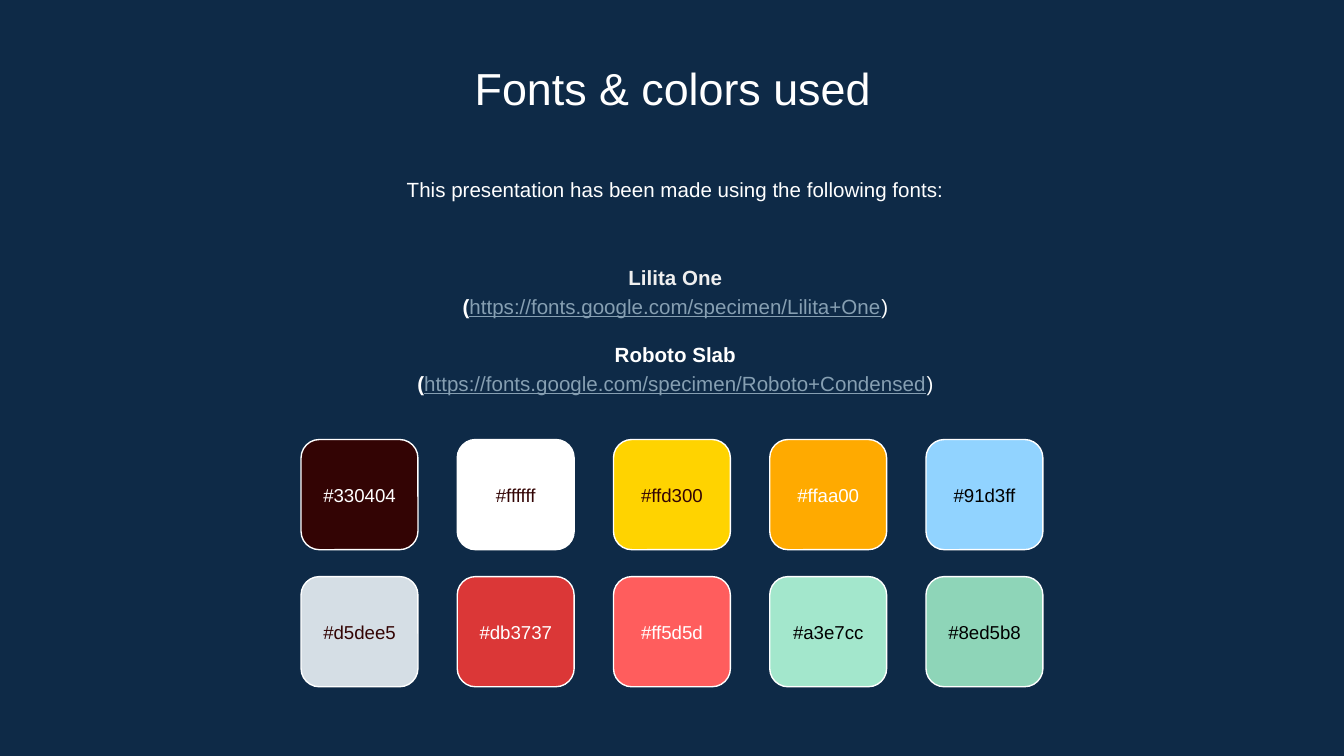
"""Build a slide that lists the fonts and the colour palette of a presentation."""
from dataclasses import dataclass

from pptx import Presentation
from pptx import util as u
from pptx.dml.color import RGBColor
from pptx.enum import shapes, text

FONT = "Arial"
WHITE, BLACK, NAVY, MAROON = "FFFFFF", "000000", "0E2A47", "330404"
LIGHT_GREY, LINK_BLUE = "EFEFEF", "869FB2"
TEXT_LEFT, TEXT_WIDTH = 1.17, 7.71
GRID_LEFT, GRID_TOP = 2.24, 3.27
COLUMN_STEP, ROW_STEP = (6.89 - GRID_LEFT) / 4, 1.02
TILE_WIDTH, TILE_HEIGHT, LABEL_HEIGHT = 0.87, 0.82, 0.48


@dataclass(frozen=True)
class Swatch:
    code: str
    label_color: str


@dataclass(frozen=True)
class FontCredit:
    name: str
    address: str
    name_color: str


SWATCH_ROWS = [
    [
        Swatch("#330404", WHITE),
        Swatch("#ffffff", MAROON),
        Swatch("#ffd300", MAROON),
        Swatch("#ffaa00", WHITE),
        Swatch("#91d3ff", BLACK),
    ],
    [
        Swatch("#d5dee5", MAROON),
        Swatch("#db3737", WHITE),
        Swatch("#ff5d5d", WHITE),
        Swatch("#a3e7cc", BLACK),
        Swatch("#8ed5b8", BLACK),
    ],
]
CREDITS = [
    FontCredit("Lilita One", "https://fonts.google.com/specimen/Lilita+One", LIGHT_GREY),
    FontCredit("Roboto Slab", "https://fonts.google.com/specimen/Roboto+Condensed", WHITE),
]


def rgb(color: str) -> RGBColor:
    return RGBColor.from_string(color.lstrip("#").upper())


def style_run(run, size: float, color: str, bold: bool = False, underline: bool = False) -> None:
    font = run.font
    font.name, font.size, font.bold, font.underline = FONT, u.Pt(size), bold, underline
    font.color.rgb = rgb(color)


def add_text_frame(slide, left: float, top: float, width: float, height: float, middle: bool = False):
    box = slide.shapes.add_textbox(u.Inches(left), u.Inches(top), u.Inches(width), u.Inches(height))
    frame = box.text_frame
    frame.word_wrap = True
    frame.margin_left = frame.margin_right = u.Inches(0.1)
    frame.margin_top = frame.margin_bottom = u.Inches(0.1)
    frame.vertical_anchor = text.MSO_ANCHOR.MIDDLE if middle else text.MSO_ANCHOR.TOP
    return frame


def write_line(paragraph, content: str, size: float, color: str, spacing: float = 1.0, bold: bool = False) -> None:
    paragraph.text = content
    paragraph.alignment = text.PP_ALIGN.CENTER
    paragraph.line_spacing = spacing
    style_run(paragraph.runs[0], size, color, bold)


def add_credits(slide, credits: list[FontCredit]) -> None:
    frame = add_text_frame(slide, TEXT_LEFT, 1.76, TEXT_WIDTH, 1.37, middle=True)
    for index, credit in enumerate(credits):
        name = frame.add_paragraph() if index else frame.paragraphs[0]
        write_line(name, credit.name, 11, credit.name_color, 1.15, bold=True)
        if index:
            name.space_before = u.Pt(11)
        address = frame.add_paragraph()
        write_line(address, "(", 11, WHITE, 1.15, bold=True)
        for content, color, underline in ((credit.address, LINK_BLUE, True), (")", WHITE, False)):
            run = address.add_run()
            run.text = content
            style_run(run, 11, color, underline=underline)


def add_swatch(slide, swatch: Swatch, left: float, top: float) -> None:
    tile = slide.shapes.add_shape(
        shapes.MSO_SHAPE.ROUNDED_RECTANGLE,
        u.Inches(left), u.Inches(top), u.Inches(TILE_WIDTH), u.Inches(TILE_HEIGHT),
    )
    tile.shadow.inherit = False
    tile.fill.solid()
    tile.fill.fore_color.rgb = rgb(swatch.code)
    tile.line.color.rgb = rgb(WHITE)
    tile.line.width = u.Pt(0.75)
    label_top = top + (TILE_HEIGHT - LABEL_HEIGHT) / 2
    label = add_text_frame(slide, left, label_top, TILE_WIDTH, LABEL_HEIGHT, middle=True)
    write_line(label.paragraphs[0], swatch.code, 10, swatch.label_color)


def main() -> None:
    presentation = Presentation()
    presentation.slide_width = u.Inches(10)
    presentation.slide_height = u.Inches(10 * 9 / 16)
    slide = presentation.slides.add_slide(presentation.slide_layouts[6])
    slide.background.fill.solid()
    slide.background.fill.fore_color.rgb = rgb(NAVY)

    title = add_text_frame(slide, 1.15, 0.35, TEXT_WIDTH, 0.53)
    write_line(title.paragraphs[0], "Fonts & colors used", 24, WHITE)
    intro = add_text_frame(slide, TEXT_LEFT, 1.19, TEXT_WIDTH, 0.48)
    write_line(intro.paragraphs[0], "This presentation has been made using the following fonts:", 11, WHITE, 1.15)
    add_credits(slide, CREDITS)

    for row, swatches in enumerate(SWATCH_ROWS):
        for column, swatch in enumerate(swatches):
            add_swatch(slide, swatch, GRID_LEFT + column * COLUMN_STEP, GRID_TOP + row * ROW_STEP)
    presentation.save("out.pptx")


if __name__ == "__main__":
    main()
